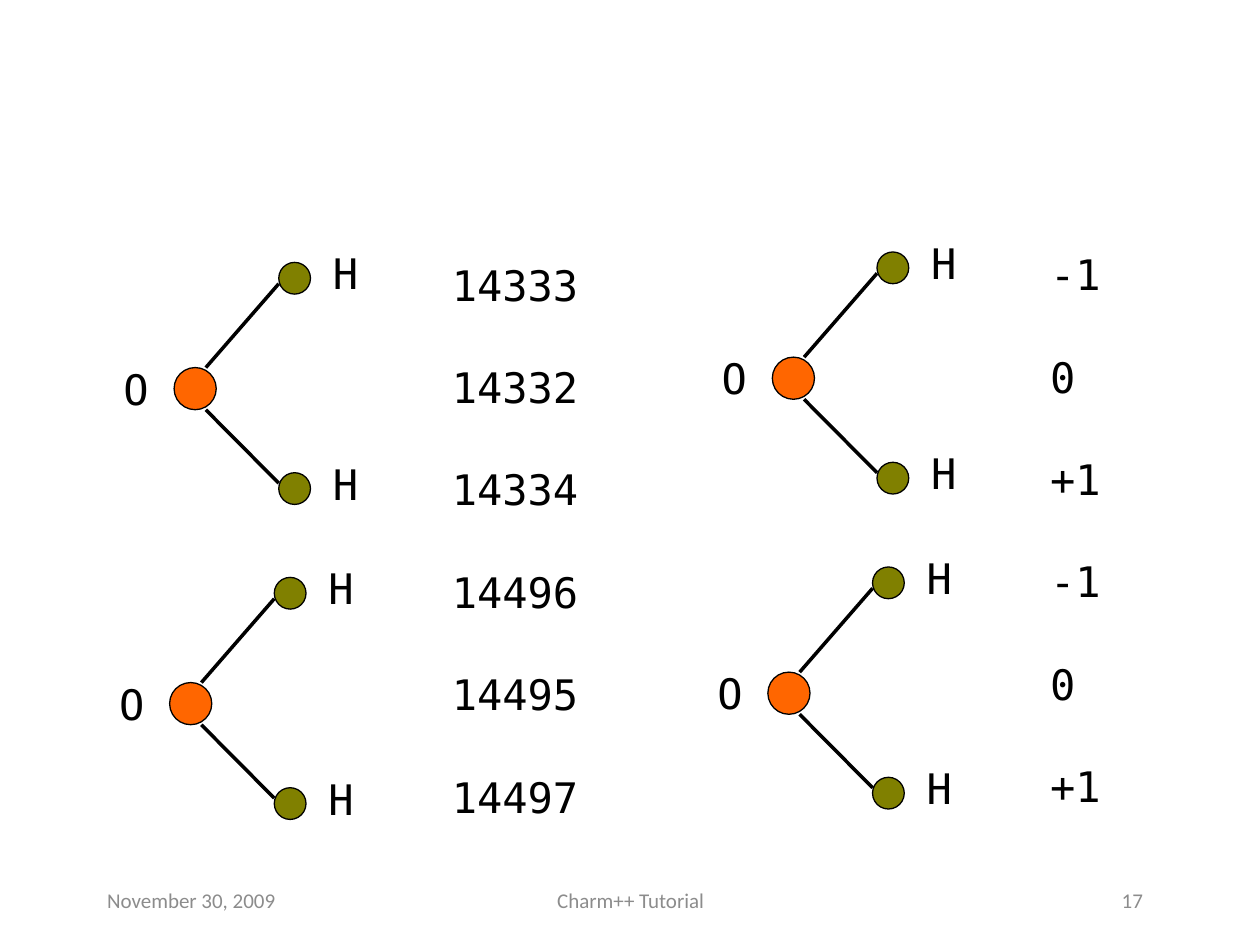
from dataclasses import dataclass

from lxml.etree import SubElement
from pptx import Presentation
from pptx.dml.color import RGBColor
from pptx.enum.shapes import MSO_CONNECTOR, MSO_SHAPE
from pptx.enum.text import MSO_ANCHOR, PP_ALIGN
from pptx.oxml.ns import qn
from pptx.util import Cm, Pt


@dataclass(frozen=True)
class Theme:
    black: RGBColor = RGBColor(0x00, 0x00, 0x00)
    grey: RGBColor = RGBColor(0x8C, 0x8C, 0x8C)
    oxygen: RGBColor = RGBColor(0xFF, 0x66, 0x00)
    hydrogen: RGBColor = RGBColor(0x80, 0x80, 0x00)
    label_font: str = "DejaVu Sans Mono"
    footer_font: str = "Calibri"
    label_size: Pt = Pt(24)
    footer_size: Pt = Pt(12)
    row_gap: Pt = Pt(29.7)
    outline: Pt = Pt(0.75)
    bond: Pt = Pt(2)


class SlideBuilder:
    """Draws on one slide in one style; all lengths are centimetres."""

    def __init__(self, slide, theme):
        self.slide = slide
        self.theme = theme

    def text_box(self, left, top, width, height):
        shape = self.slide.shapes.add_textbox(Cm(left), Cm(top), Cm(width), Cm(height))
        shape.text_frame.word_wrap = True
        return shape.text_frame

    def labels(self, texts, left, top, width, height=1.27):
        frame = self.text_box(left, top, width, height)
        for index, text in enumerate(texts):
            paragraph = frame.paragraphs[0] if index == 0 else frame.add_paragraph()
            paragraph.text = text
            if index:
                paragraph.space_before = self.theme.row_gap
            paragraph.font.name = self.theme.label_font
            paragraph.font.size = self.theme.label_size
            paragraph.font.color.rgb = self.theme.black

    def footer(self, text, left, width, alignment):
        frame = self.text_box(left, 17.65, width, 1.01)
        frame.vertical_anchor = MSO_ANCHOR.MIDDLE
        paragraph = frame.paragraphs[0]
        paragraph.text = text
        paragraph.alignment = alignment
        paragraph.font.name = self.theme.footer_font
        paragraph.font.size = self.theme.footer_size
        paragraph.font.color.rgb = self.theme.grey

    def atom(self, left, top, diameter, color):
        shape = self.slide.shapes.add_shape(
            MSO_SHAPE.OVAL, Cm(left), Cm(top), Cm(diameter), Cm(diameter))
        shape.shadow.inherit = False
        shape.fill.solid()
        shape.fill.fore_color.rgb = color
        shape.line.color.rgb = self.theme.black
        shape.line.width = self.theme.outline

    def bond(self, start_x, start_y, end_x, end_y):
        connector = self.slide.shapes.add_connector(
            MSO_CONNECTOR.STRAIGHT, Cm(start_x), Cm(start_y), Cm(end_x), Cm(end_y))
        connector.line.color.rgb = self.theme.black
        connector.line.width = self.theme.bond
        SubElement(connector._element.spPr, qn("a:effectLst"))

    def molecule(self, left, top):
        """Water molecule; left and top locate the oxygen atom."""
        self.atom(left, top, 0.85, self.theme.oxygen)
        self.labels(["O"], left - 1.27, top - 0.21, 1.17)
        # Hydrogen offset, then bond start and end, below the oxygen's top
        for hydrogen, start, end in ((-2.12, 0, -1.69), (2.12, 0.85, 2.33)):
            self.atom(left + 2.11, top + hydrogen, 0.64, self.theme.hydrogen)
            self.bond(left + 0.64, top + start, left + 2.11, top + end)
            self.labels(["H"], left + 2.95, top + hydrogen - 0.42, 1.15)


def main():
    presentation = Presentation()
    presentation.slide_width = Cm(25.4)
    presentation.slide_height = Cm(19.05)
    slide = presentation.slides.add_slide(presentation.slide_layouts[6])
    builder = SlideBuilder(slide, Theme())

    # Two columns: a pair of molecules and their atom numbers
    columns = (
        (3.51, 7.41, 3.18, ["14333", "14332", "14334", "14496", "14495", "14497"]),
        (15.57, 7.2, 1.73, ["-1", "0", "+1"] * 2),
    )
    for left, top, list_width, numbers in columns:
        builder.molecule(left, top)
        builder.molecule(left - 0.09, top + 6.35)
        builder.labels(numbers, left + 5.35, top - 2.31, list_width, 11.4)

    # Footer
    builder.footer("November 30, 2009", 1.91, 5.28, PP_ALIGN.LEFT)
    builder.footer("Charm++ Tutorial", 8.69, 8.05, PP_ALIGN.CENTER)
    builder.footer("17", 18.21, 5.08, PP_ALIGN.RIGHT)

    presentation.save("out.pptx")


if __name__ == "__main__":
    main()
